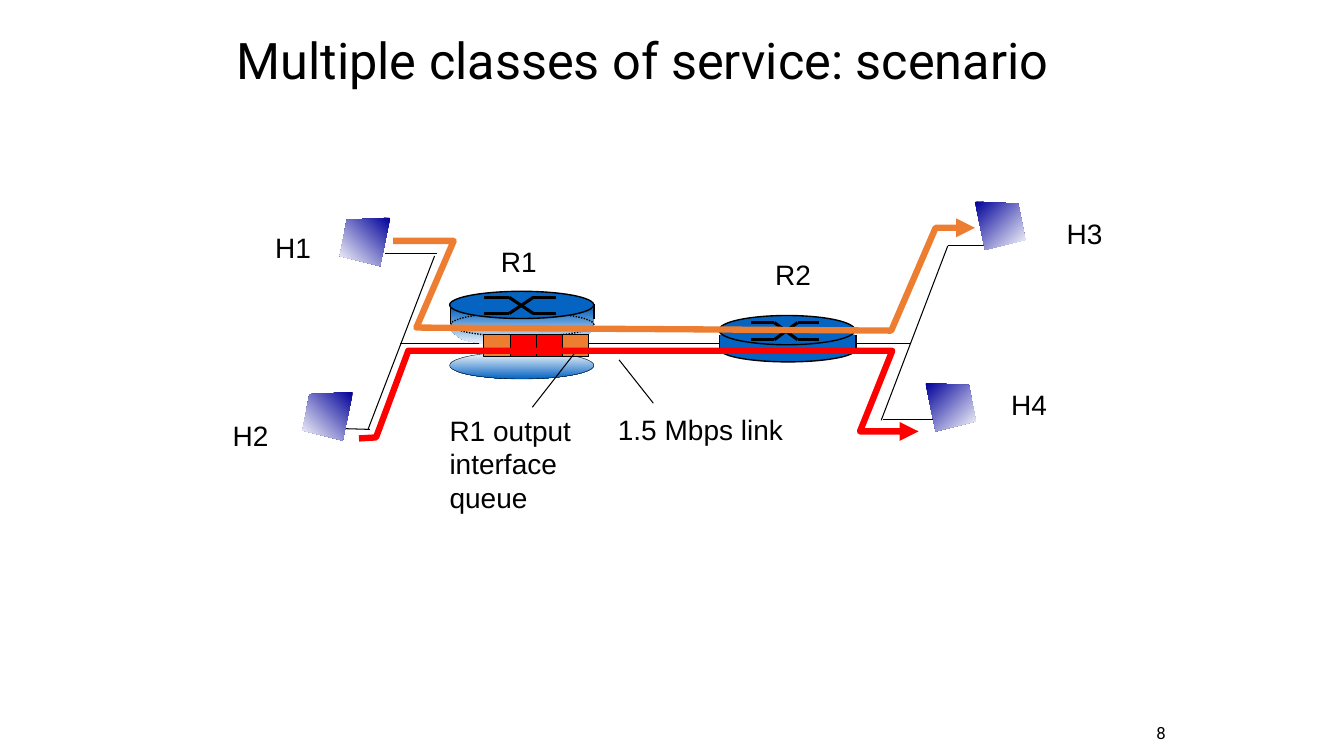
from lxml.etree import SubElement
from pptx import Presentation
from pptx.dml.color import RGBColor
from pptx.enum.shapes import MSO_CONNECTOR, MSO_SHAPE
from pptx.enum.text import MSO_ANCHOR, PP_ALIGN
from pptx.oxml.ns import qn
from pptx.util import Emu, Pt

EMU_PER_PX = 9144
BLACK, WHITE, ROUTER, HOST = "000000", "FFFFFF", "0563C1", "000099"
ORANGE, RED = "ED7D31", "FF0000"


def px(length):
    return Emu(length * EMU_PER_PX)


def color(value):
    return RGBColor.from_string(value)


class Diagram:
    def __init__(self, slide, font):
        self.shapes = slide.shapes
        self.font = font

    def paint(self, shape, fill=None, line=None, weight=1.0, angle=0):
        shape.shadow.inherit = False
        if fill is None:
            shape.fill.background()
        elif isinstance(fill, tuple):
            shape.fill.gradient()
            shape.fill.gradient_angle = 360 - angle
            for stop, shade in zip(shape.fill.gradient_stops, fill):
                stop.color.rgb = color(shade)
                stop.position = fill.index(shade)
        else:
            shape.fill.solid()
            shape.fill.fore_color.rgb = color(fill)
        if line is None:
            shape.line.fill.background()
        else:
            shape.line.color.rgb = color(line)
            shape.line.width = Pt(weight)

    def shape(self, preset, left, top, width, height, **style):
        shape = self.shapes.add_shape(preset, px(left), px(top), px(width), px(height))
        self.paint(shape, **style)
        return shape

    def ellipse(self, *box, **style):
        return self.shape(MSO_SHAPE.OVAL, *box, **style)

    def rectangle(self, *box, **style):
        return self.shape(MSO_SHAPE.RECTANGLE, *box, **style)

    def outline(self, points, close=True, **style):
        builder = self.shapes.build_freeform(*points[0], scale=EMU_PER_PX)
        builder.add_line_segments(points[1:], close=close)
        shape = builder.convert_to_shape()
        self.paint(shape, **style)
        return shape

    def line(self, x1, y1, x2, y2, weight=0.75):
        connector = self.shapes.add_connector(
            MSO_CONNECTOR.STRAIGHT, px(x1), px(y1), px(x2), px(y2))
        connector.line.color.rgb = color(BLACK)
        connector.line.width = Pt(weight)
        SubElement(connector._element.spPr, qn("a:effectLst"))

    def flow(self, points, shade):
        route = self.outline(points, close=False, line=shade, weight=4.5)
        SubElement(route.line._get_or_add_ln(), qn("a:tailEnd"), type="triangle")

    def cross(self, columns, top, bottom):
        start, inner, outer, end = columns
        for near, far in ((top, bottom), (bottom, top)):
            self.line(start, near, inner, near, 2.25)
            self.line(inner, near, outer, far, 2.25)
            self.line(outer, far, end, far, 2.25)

    def host(self, x, y, side):
        corners = [(x + side * dx, y + dy) for dx, dy in ((0, 0), (43, 2), (50, 38), (10, 48))]
        self.outline(corners, fill=(HOST, WHITE), angle=45 if side > 0 else 135)

    def text(self, lines, left, top, width, height, size=20, font=None, wrap=False,
             anchor=MSO_ANCHOR.TOP, align=PP_ALIGN.LEFT, spacing=None):
        frame = self.shapes.add_textbox(px(left), px(top), px(width), px(height)).text_frame
        frame.word_wrap = wrap
        frame.vertical_anchor = anchor
        for index, wording in enumerate(lines):
            paragraph = frame.add_paragraph() if index else frame.paragraphs[0]
            paragraph.alignment = align
            paragraph.line_spacing = spacing
            run = paragraph.add_run()
            run.text = wording
            run.font.name = font or self.font
            run.font.size = Pt(size)
            run.font.color.rgb = color(BLACK)


def draw_first_router(diagram):
    body = [(447, 305), (450, 306), (458, 311), (476, 314), (492, 315), (512, 316),
            (527, 316), (546, 315), (563, 314), (583, 308), (589, 306), (589, 320),
            (588, 328), (580, 334), (572, 338), (562, 340), (547, 342), (529, 344),
            (513, 344), (499, 343), (486, 342), (468, 339), (459, 337), (452, 332),
            (447, 328)]
    diagram.outline(body, fill=(ROUTER, WHITE), angle=90)
    rim = diagram.ellipse(447, 310, 142, 24, line=BLACK)
    SubElement(rim.line._get_or_add_ln(), qn("a:prstDash"), val="sysDot")
    diagram.line(447, 306, 447, 321, 1)
    diagram.line(589, 302, 589, 316, 1)
    diagram.ellipse(446, 289, 143, 27, fill=ROUTER, line=BLACK)
    diagram.cross((480, 505, 529, 551), 295, 311)
    diagram.ellipse(446, 349, 143, 27, fill=(WHITE, ROUTER), angle=90, line=BLACK, weight=0.25)
    for slot, packet in enumerate((ORANGE, RED, RED, ORANGE)):
        diagram.rectangle(480 + 26 * slot, 332, 26, 22, fill=packet, line=BLACK, weight=0.75)


def draw_second_router(diagram):
    diagram.ellipse(714, 334, 135, 25, fill=ROUTER, line=BLACK)
    for side in (714, 849):
        diagram.line(side, 332, side, 347, 1)
    diagram.rectangle(714, 332, 134, 15, fill=ROUTER)
    diagram.ellipse(713, 313, 135, 29, fill=ROUTER, line=BLACK)
    diagram.cross((745, 768, 791, 812), 320, 337)


def main():
    presentation = Presentation()
    presentation.slide_width, presentation.slide_height = px(1333), px(750)
    slide = presentation.slides.add_slide(presentation.slide_layouts[6])
    diagram = Diagram(slide, "Arial")

    diagram.line(397, 341, 903, 341)
    diagram.text(["Multiple classes of service: scenario"], 225, 0, 850, 125, size=36,
                 font="Roboto", wrap=True, anchor=MSO_ANCHOR.MIDDLE, spacing=0.9)
    draw_first_router(diagram)

    access_links = ((431, 254, 365, 426), (367, 426, 333, 425), (433, 252, 382, 252),
                    (940, 244, 874, 417), (927, 416, 876, 416), (976, 244, 940, 244))
    for link in access_links:
        diagram.line(*link)
    draw_second_router(diagram)

    node_labels = (("R1", 487, 238), ("R2", 759, 251), ("H1", 263, 224),
                   ("H2", 221, 410), ("H3", 1048, 210), ("H4", 993, 380))
    for name, left, top in node_labels:
        diagram.text([name], left, top, 56, 44)
    diagram.text(["1.5 Mbps link"], 603, 404, 192, 44)
    diagram.line(614, 357, 648, 400)
    diagram.line(571, 349, 528, 404)
    diagram.text(["R1 output", "interface", "queue"], 436, 405, 149, 111)

    diagram.flow([(390, 239), (450, 239), (413, 325), (884, 328), (928, 226), (967, 226)], ORANGE)
    diagram.flow([(356, 435), (373, 434), (405, 348), (885, 348), (853, 428), (911, 428)], RED)
    for x, y, side in ((350, 389, -1), (387, 216, -1), (967, 200, 1), (918, 380, 1)):
        diagram.host(x, y, side)

    diagram.text(["8"], 1091, 712, 75, 30, size=12, font="Roboto", wrap=True,
                 anchor=MSO_ANCHOR.MIDDLE, align=PP_ALIGN.RIGHT)
    presentation.save("out.pptx")


if __name__ == "__main__":
    main()
